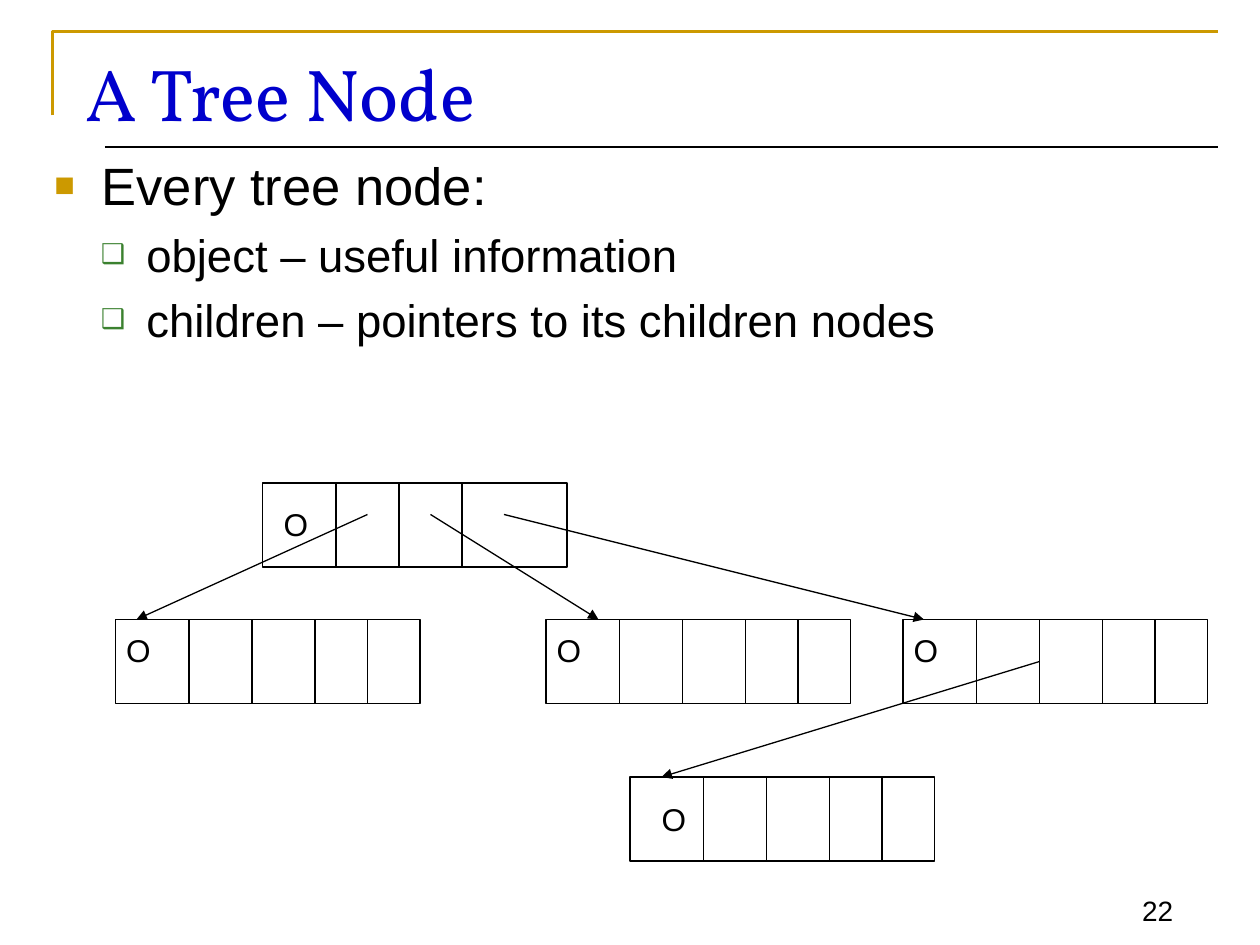
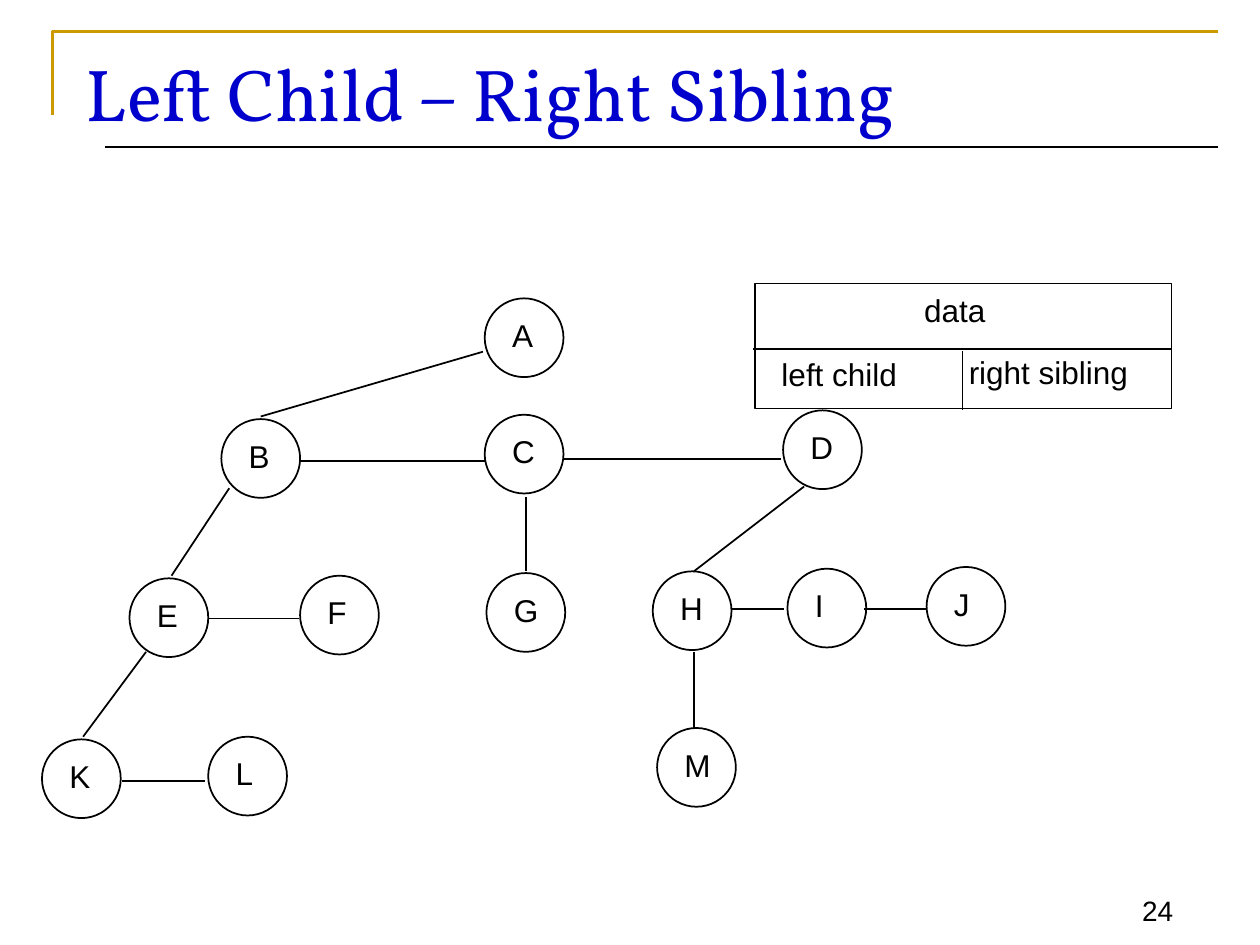
"""Build two slides on tree nodes and the left child, right sibling form."""
from dataclasses import dataclass

import pptx
import pptx.dml.color
import pptx.enum.shapes
import pptx.enum.text
import pptx.oxml.ns
import pptx.util
from lxml import etree

Pt = pptx.util.Pt
qn = pptx.oxml.ns.qn
SHAPE = pptx.enum.shapes.MSO_SHAPE
ANCHOR = pptx.enum.text.MSO_ANCHOR
ALIGN = pptx.enum.text.PP_ALIGN

BLACK, GOLD, BLUE, GREEN = "000000", "CC9900", "0000CC", "3B812F"
BODY_FONT, TITLE_FONT = "Arial", "Vollkorn"
NODE_W, NODE_H = 174, 48
DIVIDERS = (42, 78, 114, 144)
CIRCLE = 45


@dataclass
class Record:
    x: float
    y: float
    label_x: float
    label_y: float
    dividers: tuple[int, ...] = DIVIDERS


@dataclass
class Line:
    x1: float
    y1: float
    x2: float
    y2: float


@dataclass
class Circle:
    name: str
    x: float
    y: float


@dataclass
class Bullet:
    text: str
    size: float
    level: int
    indent: float
    hanging: float
    char: str
    color: str
    percent: int


RECORDS = [
    Record(150, 276, 5, 9, DIVIDERS[:3]),
    Record(66, 354, -1, 3),
    Record(312, 354, -1, 3),
    Record(516, 354, -1, 3),
    Record(360, 444, 11, 9.5),
]
POINTERS = [
    Line(210, 294, 78, 354),
    Line(246, 294, 342, 354),
    Line(288, 294, 528, 354),
    Line(594, 378, 378, 444),
]
BULLETS = [
    Bullet("Every tree node:", 30, 0, 27, 27, "■", GOLD, 65),
    Bullet("object – useful information", 26, 1, 52.5, 26, "❑", GREEN, 60),
    Bullet("children – pointers to its children nodes", 26, 1, 52.5, 26, "❑", GREEN, 60),
]
CIRCLES = [
    Circle("A", 277, 170.5),
    Circle("B", 126.5, 239.5),
    Circle("C", 277, 237),
    Circle("D", 447.5, 234.5),
    Circle("E", 74, 330.5),
    Circle("F", 171.5, 329),
    Circle("G", 278, 327.5),
    Circle("H", 373, 326.5),
    Circle("I", 450, 325),
    Circle("J", 529.5, 324),
    Circle("K", 24, 422.5),
    Circle("L", 119, 421),
    Circle("M", 375.5, 416),
]
EDGES = [
    Line(276, 201, 149, 238),
    Line(171, 263.5, 277, 263.5),
    Line(322, 262.5, 446.5, 262.5),
    Line(131, 279, 98, 329),
    Line(119.5, 353.5, 171, 353.5),
    Line(83.5, 372.5, 47.5, 421),
    Line(69.5, 446.5, 117, 446.5),
    Line(300.5, 284, 300.5, 326.5),
    Line(459.5, 278, 396.5, 326.5),
    Line(418, 348, 448, 348),
    Line(494, 348, 529.5, 348),
    Line(396.5, 372.5, 396.5, 416),
]


def rgb(value: str) -> pptx.dml.color.RGBColor:
    """Turn a hex string into a colour."""
    return pptx.dml.color.RGBColor.from_string(value)


def set_line(sp, width: float, color: str = BLACK) -> None:
    """Give an outline its width and colour."""
    sp.line.width = Pt(width)
    sp.line.color.rgb = rgb(color)


def format_runs(p, size: float, font: str = BODY_FONT, color: str = BLACK) -> None:
    """Format every run of a paragraph."""
    for r in p.runs:
        r.font.size = Pt(size)
        r.font.name = font
        r.font.color.rgb = rgb(color)


def add_text(shapes, x: float, y: float, w: float, h: float, text: str = "",
             size: float = 18, font: str = BODY_FONT, color: str = BLACK):
    """Add a wrapped text box and return its frame."""
    tf = shapes.add_textbox(Pt(x), Pt(y), Pt(w), Pt(h)).text_frame
    tf.word_wrap = True
    tf.text = text
    format_runs(tf.paragraphs[0], size, font, color)
    return tf


def add_outline(shapes, kind, x: float, y: float, w: float, h: float, width: float) -> None:
    """Add an unfilled preset shape."""
    sp = shapes.add_shape(kind, Pt(x), Pt(y), Pt(w), Pt(h))
    sp.shadow.inherit = False
    sp.fill.background()
    set_line(sp, width)


def add_line(shapes, line: Line, width: float, arrow: bool = False) -> None:
    """Add a straight line, with an arrowhead at its end if asked."""
    sp = shapes.add_connector(pptx.enum.shapes.MSO_CONNECTOR.STRAIGHT,
                              Pt(line.x1), Pt(line.y1), Pt(line.x2), Pt(line.y2))
    set_line(sp, width)
    if arrow:
        etree.SubElement(sp.line._get_or_add_ln(), qn("a:tailEnd"), type="triangle")
    etree.SubElement(sp._element.spPr, qn("a:effectLst"))


def add_slide(prs, title: str, number: int):
    """Add a slide with the shared rules, title and page number."""
    s = prs.slides.add_slide(prs.slide_layouts[6])
    builder = s.shapes.build_freeform(Pt(30), Pt(66))
    builder.add_line_segments([(Pt(30), Pt(18)), (Pt(696), Pt(18))], close=False)
    sp = builder.convert_to_shape()
    sp.shadow.inherit = False
    sp.fill.background()
    set_line(sp, 1.5, GOLD)
    add_line(s.shapes, Line(60, 84, 696, 84), 0.75)
    tf = add_text(s.shapes, 630, 498, 47.5, 35.5, str(number), 16)
    tf.vertical_anchor = ANCHOR.BOTTOM
    tf.paragraphs[0].alignment = ALIGN.RIGHT
    add_text(s.shapes, 42, 24, 654, 54, title, 42, TITLE_FONT, BLUE)
    return s


def add_bullets(shapes, bullets: list[Bullet]) -> None:
    """Add the bulleted body text."""
    tf = add_text(shapes, 24, 84, 672, 132)
    for i, b in enumerate(bullets):
        p = tf.add_paragraph() if i else tf.paragraphs[0]
        p.text = b.text
        p.level = b.level
        p.space_before = Pt(6)
        format_runs(p, b.size)
        pr = p._p.get_or_add_pPr()
        pr.set("marL", str(Pt(b.indent)))
        pr.set("indent", str(-Pt(b.hanging)))
        color = etree.SubElement(pr, qn("a:buClr"))
        etree.SubElement(color, qn("a:srgbClr"), val=b.color)
        etree.SubElement(pr, qn("a:buSzPct"), val=str(b.percent * 1000))
        etree.SubElement(pr, qn("a:buFont"), typeface=BODY_FONT)
        etree.SubElement(pr, qn("a:buChar"), char=b.char)


def add_record(shapes, rec: Record) -> None:
    """Add a node drawn as a row of cells."""
    add_outline(shapes, SHAPE.RECTANGLE, rec.x, rec.y, NODE_W, NODE_H, 0.75)
    for dx in rec.dividers:
        add_line(shapes, Line(rec.x + dx, rec.y, rec.x + dx, rec.y + NODE_H), 0.75)
    add_text(shapes, rec.x + rec.label_x, rec.y + rec.label_y, 32, 36, "O")


def add_circle(shapes, c: Circle) -> None:
    """Add a lettered circle as a group."""
    group = shapes.add_group_shape().shapes
    add_outline(group, SHAPE.OVAL, c.x, c.y, CIRCLE, CIRCLE, 1)
    add_text(group, c.x + 8.5, c.y + 6.5, 34, 36, c.name)


def add_legend(shapes) -> None:
    """Add the key that shows the parts of a node."""
    group = shapes.add_group_shape().shapes
    add_outline(group, SHAPE.RECTANGLE, 431.5, 162, 238, 71.5, 1)
    add_line(group, Line(430.5, 199.5, 670, 199.5), 1)
    add_line(group, Line(550, 200.5, 550, 234), 1)
    add_text(group, 521, 163, 55, 36, "data")
    add_text(group, 439.5, 199.5, 100, 36, "left child")
    add_text(group, 546.5, 198, 131, 36, "right sibling")


def main() -> None:
    """Build and save the presentation."""
    prs = pptx.Presentation()
    prs.slide_width, prs.slide_height = Pt(720), Pt(540)

    s = add_slide(prs, "A Tree Node", 22)
    add_bullets(s.shapes, BULLETS)
    for rec in RECORDS:
        add_record(s.shapes, rec)
    for pointer in POINTERS:
        add_line(s.shapes, pointer, 0.75, arrow=True)

    s = add_slide(prs, "Left Child – Right Sibling", 24)
    for c in CIRCLES:
        add_circle(s.shapes, c)
    for edge in EDGES:
        add_line(s.shapes, edge, 1)
    add_legend(s.shapes)

    prs.save("out.pptx")


main()
